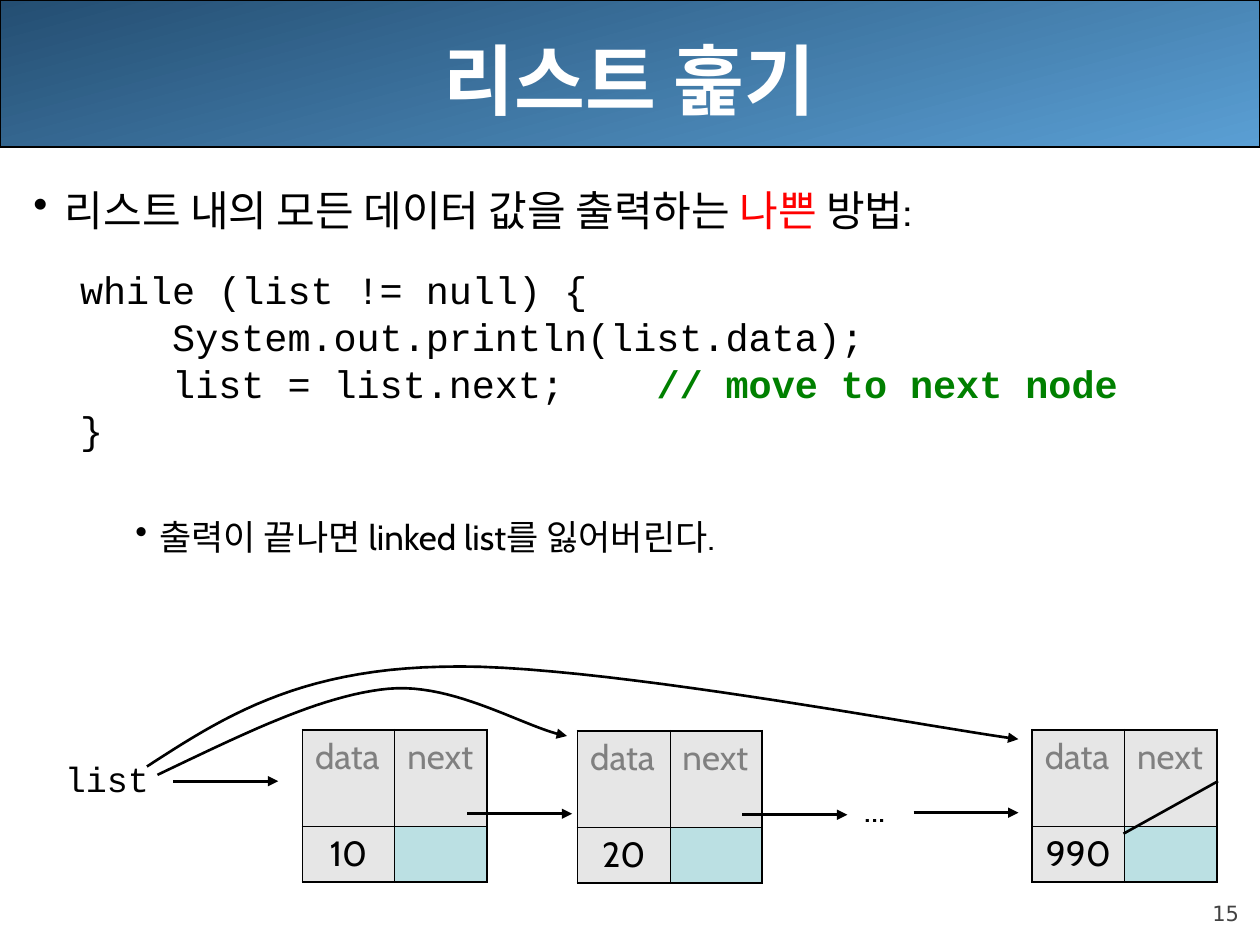
from lxml import etree
from pptx import Presentation
from pptx.dml.color import RGBColor
from pptx.enum.shapes import MSO_CONNECTOR, MSO_SHAPE
from pptx.enum.text import MSO_ANCHOR, PP_ALIGN
from pptx.oxml.ns import qn
from pptx.util import Inches, Pt

LEFT, CENTER, RIGHT = PP_ALIGN.LEFT, PP_ALIGN.CENTER, PP_ALIGN.RIGHT
TOP, MIDDLE, BOTTOM = MSO_ANCHOR.TOP, MSO_ANCHOR.MIDDLE, MSO_ANCHOR.BOTTOM
STRAIGHT = MSO_CONNECTOR.STRAIGHT
ROUNDED = MSO_SHAPE.ROUNDED_RECTANGLE
SANS, MONO = "Cabin", "Courier New"
BLACK, WHITE, GREY = "000000", "FFFFFF", "808080"
CELL, POINTER = "E6E6E6", "BBE0E3"
COLUMNS, ROWS = 120, 90
WIDTH, HEIGHT = Inches(10), Inches(7.5)
NODE_COLUMN, NODE_ROWS = 8.8, (9.2, 5.3)
ARROW_LENGTH, ARROW_OFFSET = 10, 15.7
CURVE_STEPS = 24


def color(value):
    return RGBColor.from_string(value)


def across(columns):
    return round(WIDTH * columns / COLUMNS)


def down(rows):
    return round(HEIGHT * rows / ROWS)


def area(left, top, width, height):
    return across(left), down(top), across(width), down(height)


def set_font(font, size, name, shade=BLACK, bold=False):
    font.size, font.name, font.bold = Pt(size), name, bold
    font.color.rgb = color(shade)


def add_box(page, place, anchor=TOP, wrap=True):
    frame = page.shapes.add_textbox(*area(*place)).text_frame
    frame.word_wrap = wrap
    frame.vertical_anchor = anchor
    return frame


def add_label(page, place, text, size, name, shade=BLACK, bold=False,
              align=LEFT, anchor=TOP, wrap=True):
    frame = add_box(page, place, anchor, wrap)
    para = frame.paragraphs[0]
    para.text, para.alignment = text, align
    set_font(para.font, size, name, shade, bold)
    return frame


def add_header(page):
    bar = page.shapes.add_shape(ROUNDED, *area(0, 0, COLUMNS, 14))
    bar.adjustments[0] = 0
    bar.shadow.inherit = False
    bar.fill.gradient()
    bar.fill.gradient_angle = 285
    for stop, shade in zip(bar.fill.gradient_stops, ("244E72", "5A9FD4")):
        stop.color.rgb = color(shade)
    bar.line.color.rgb = color(BLACK)
    bar.line.width = Pt(0.75)
    add_label(page, (6, 0, 108, 15), "리스트 훑기", 44, SANS, WHITE, True, CENTER, MIDDLE)


def format_para(para, margin, indent, before, size, name, bullet=False):
    props = para._p.get_or_add_pPr()
    props.set("marL", str(Inches(margin)))
    props.set("indent", str(Inches(indent)))
    para.space_before = Pt(before)
    if bullet:
        shade = etree.SubElement(props, qn("a:buClr"))
        etree.SubElement(shade, qn("a:srgbClr"), val=BLACK)
        etree.SubElement(props, qn("a:buChar"), char="•")
    set_font(para.font, size, name)


def add_span(para, text, shade=None, bold=None):
    span = para.add_run()
    span.text = text
    if shade:
        span.font.color.rgb = color(shade)
    if bold:
        span.font.bold = True


def add_body(page):
    frame = add_box(page, (2, 17, 118, 68))
    heading = frame.paragraphs[0]
    format_para(heading, 0.25, -0.25, 0, 24, SANS, bullet=True)
    add_span(heading, "리스트 내의 모든 데이터 값을 출력하는 ")
    add_span(heading, "나쁜", "FF0000")
    add_span(heading, " 방법:")
    code = (
        ("while (list != null) {", ""),
        ("    System.out.println(list.data);", ""),
        ("    list = list.next;    ", "// move to next node"),
        ("}", ""),
    )
    for number, (statement, comment) in enumerate(code):
        para = frame.add_paragraph()
        para.line_spacing = 0.8
        format_para(para, 0.68, -0.31, 5.5 if number else 23, 22, MONO)
        add_span(para, statement)
        if comment:
            add_span(para, comment, "008000", True)
    note = frame.add_paragraph()
    format_para(note, 1, -0.19, 36, 20, SANS, bullet=True)
    add_span(note, "출력이 끝나면 linked list를 잃어버린다.")


def set_borders(cell, row, column):
    outer = {"L": column == 0, "R": column == 1, "T": row == 0, "B": row == 1}
    props = cell._tc.get_or_add_tcPr()
    for index, (side, thick) in enumerate(outer.items()):
        border = etree.Element(qn(f"a:ln{side}"), w=str(Pt(1.08 if thick else 0.45)))
        fill = etree.SubElement(border, qn("a:solidFill"))
        etree.SubElement(fill, qn("a:srgbClr"), val=BLACK)
        props.insert(index, border)


def add_node(page, left, top, value):
    place = area(left, top, 2 * NODE_COLUMN, sum(NODE_ROWS))
    table = page.shapes.add_table(2, 2, *place).table
    table.first_row = table.horz_banding = False
    for column in table.columns:
        column.width = across(NODE_COLUMN)
    texts = (("data", "next"), (value, ""))
    for row, height in enumerate(NODE_ROWS):
        table.rows[row].height = down(height)
        for column, text in enumerate(texts[row]):
            cell = table.cell(row, column)
            cell.fill.solid()
            cell.fill.fore_color.rgb = color(CELL if text else POINTER)
            set_borders(cell, row, column)
            para = cell.text_frame.paragraphs[0]
            para.text = text
            para.alignment = CENTER if row else LEFT
            set_font(para.font, 20, SANS, BLACK if row else GREY)


def style_line(shape, arrow=True):
    shape.line.color.rgb = color(BLACK)
    shape.line.width = Pt(1.5)
    props = shape._element.spPr
    if arrow:
        etree.SubElement(props.find(qn("a:ln")), qn("a:tailEnd"), type="triangle")
    etree.SubElement(props, qn("a:effectLst"))


def add_line(page, start, end, arrow=True):
    line = page.shapes.add_connector(
        STRAIGHT, across(start[0]), down(start[1]), across(end[0]), down(end[1]))
    style_line(line, arrow)


def add_arrow(page, left, top):
    add_line(page, (left, top), (left + ARROW_LENGTH, top))


def curve_point(controls, share):
    rest = 1 - share
    weights = (rest ** 3, 3 * rest ** 2 * share, 3 * rest * share ** 2, share ** 3)
    x, y = (sum(w * v for w, v in zip(weights, axis)) for axis in zip(*controls))
    return across(x), down(y)


def add_curve(page, points):
    path = [curve_point(points[first:first + 4], step / CURVE_STEPS)
            for first in range(0, len(points) - 1, 3)
            for step in range(1, CURVE_STEPS + 1)]
    builder = page.shapes.build_freeform(across(points[0][0]), down(points[0][1]))
    builder.add_line_segments(path, close=False)
    curve = builder.convert_to_shape()
    curve.fill.background()
    style_line(curve)


def add_linked_list(page):
    for left, top, value in ((28.8, 69.5, "10"), (55, 69.6, "20"), (98.3, 69.5, "990")):
        add_node(page, left, top, value)
    add_label(page, (5, 71.6, 10.4, 5.3), "list", 20, MONO, wrap=False)
    add_label(page, (81.1, 74.4, 5, 5.3), "...", 20, SANS, wrap=False)
    for left, top in ((16.5, 74.4), (28.8 + ARROW_OFFSET, 77.5),
                      (55 + ARROW_OFFSET, 77.6), (87, 77.4)):
        add_arrow(page, left, top)
    add_line(page, (116, 74.4), (107, 79.4), arrow=False)
    add_curve(page, ((15, 73.8), (22.8, 70.1), (30.5, 66.2), (37, 65.6),
                     (43.4, 65), (50.3, 69.5), (54, 70.1)))
    add_curve(page, ((14, 73), (21.1, 68.4), (28.2, 63.8), (42, 63.5),
                     (55.8, 63), (88, 69.2), (97, 70.4)))


def main():
    deck = Presentation()
    deck.slide_width, deck.slide_height = WIDTH, HEIGHT
    page = deck.slides.add_slide(deck.slide_layouts[6])
    add_header(page)
    number = add_label(page, (108, 83.4, 10, 4.8), "15", 12, "DejaVu Sans", "424242",
                       align=RIGHT, anchor=BOTTOM)
    number.margin_left = number.margin_right = 0
    number.margin_top = number.margin_bottom = 0
    add_body(page)
    add_linked_list(page)
    deck.save("out.pptx")


if __name__ == "__main__":
    main()
